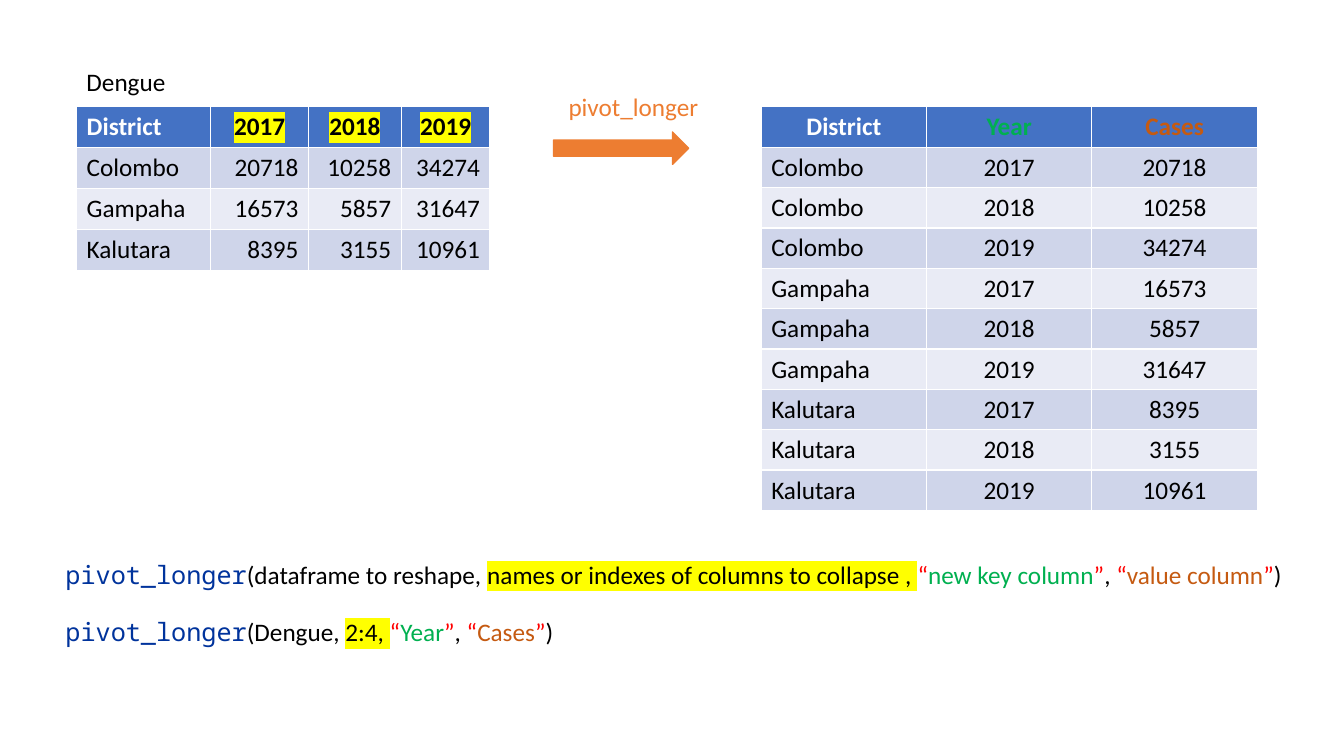
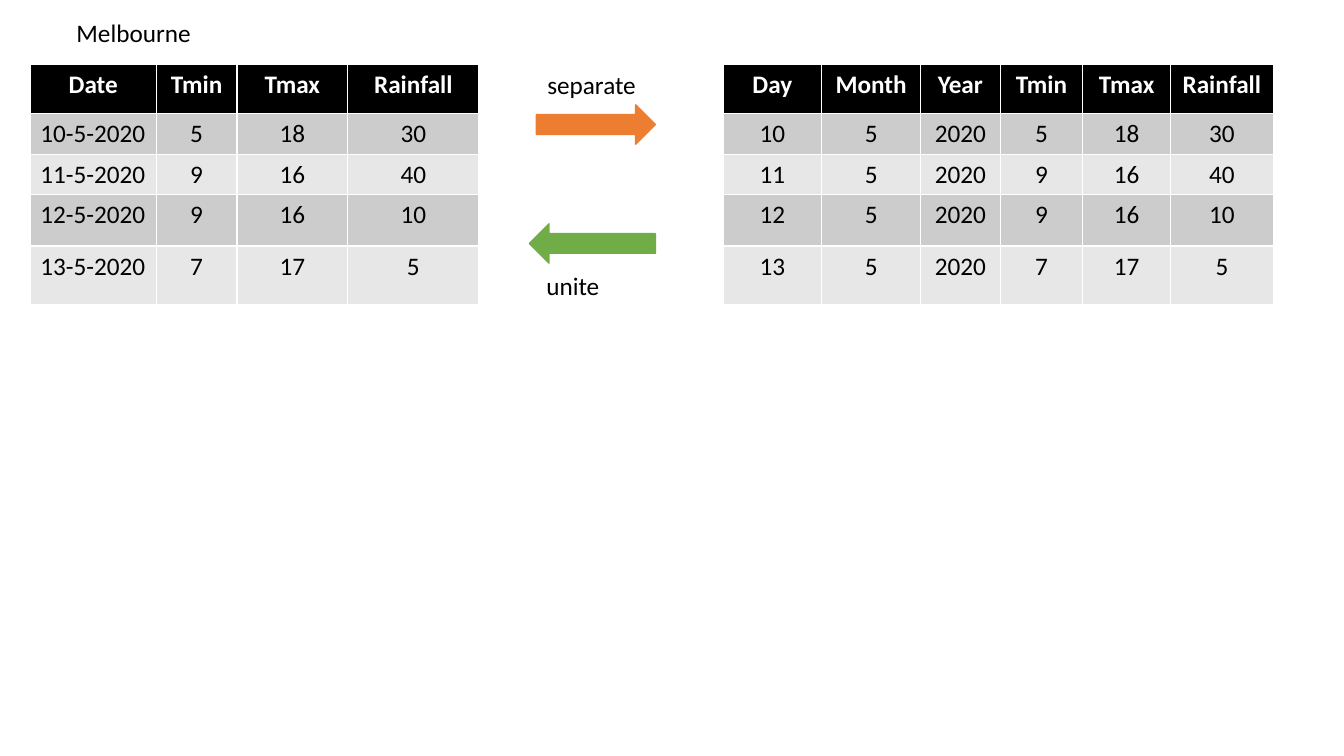
from lxml.etree import SubElement
from pptx import Presentation
from pptx.dml.color import RGBColor
from pptx.enum.shapes import MSO_SHAPE as Shape
from pptx.enum.text import PP_ALIGN as Align
from pptx.oxml.ns import qn
from pptx.util import Inches, Pt

BLACK = RGBColor(0x00, 0x00, 0x00)
WHITE = RGBColor(0xFF, 0xFF, 0xFF)
BLUE = RGBColor(0x44, 0x72, 0xC4)
BLUE_BANDS = (RGBColor(0xCF, 0xD5, 0xEA), RGBColor(0xE9, 0xEB, 0xF5))
GREY_BANDS = (RGBColor(0xCC, 0xCC, 0xCC), RGBColor(0xE7, 0xE7, 0xE7))
ORANGE = RGBColor(0xED, 0x7D, 0x31)
LEAF = RGBColor(0x70, 0xAD, 0x47)
KEY_GREEN = RGBColor(0x00, 0xB0, 0x50)
VALUE_BROWN = RGBColor(0xC5, 0x5A, 0x11)
QUOTE_RED = RGBColor(0xFF, 0x00, 0x00)
CODE_BLUE = RGBColor(0x00, 0x33, 0x9C)
MARKER = "FFFF00"
BODY_FONT, CODE_FONT = "Calibri", "Noto Sans Mono"
TEXT_SIZE = Pt(18)
LINE_HEIGHT = 0.4
ALIGN = {"l": Align.LEFT, "c": Align.CENTER, "r": Align.RIGHT}

YEARS = ["2017", "2018", "2019"]
DENGUE = [
    ["Colombo", "20718", "10258", "34274"],
    ["Gampaha", "16573", "5857", "31647"],
    ["Kalutara", "8395", "3155", "10961"],
]
WEATHER = [
    ["10-5-2020", "5", "18", "30"],
    ["11-5-2020", "9", "16", "40"],
    ["12-5-2020", "9", "16", "10"],
    ["13-5-2020", "7", "17", "5"],
]
WEATHER_HEIGHTS = [0.49, 0.4, 0.4, 0.51, 0.58]
CALLS = [
    (5.5, "dataframe to reshape, ", "names or indexes of columns to collapse , ",
     "new key column", "value column"),
    (6.07, "Dengue, ", "2:4, ", "Year", "Cases"),
]

long_dengue = [[district, year, cases] for district, *counts in DENGUE
               for year, cases in zip(YEARS, counts)]
split_weather = [date.split("-") + readings for date, *readings in WEATHER]


def highlight(run):
    marker = SubElement(run.font.fill._xPr, qn("a:highlight"))
    SubElement(marker, qn("a:srgbClr")).set("val", MARKER)


def add_run(paragraph, text, color, font=BODY_FONT, bold=False, marked=False):
    run = paragraph.add_run()
    run.text = text
    run.font.size, run.font.bold = TEXT_SIZE, bold
    run.font.color.rgb = color
    if marked:
        highlight(run)
    run.font.name = font


def add_line(slide, left, top, width):
    box = slide.shapes.add_textbox(
        Inches(left), Inches(top), Inches(width), Inches(LINE_HEIGHT))
    box.text_frame.word_wrap = True
    return box.text_frame.paragraphs[0]


def add_label(slide, text, left, top, width, color=BLACK):
    paragraph = add_line(slide, left, top, width)
    paragraph.text = text
    paragraph.font.name, paragraph.font.size = BODY_FONT, TEXT_SIZE
    paragraph.font.color.rgb = color


def add_arrow(slide, kind, left, top, width, height, color):
    arrow = slide.shapes.add_shape(
        kind, Inches(left), Inches(top), Inches(width), Inches(height))
    arrow.shadow.inherit = False
    arrow.fill.solid()
    arrow.fill.fore_color.rgb = color
    arrow.line.color.rgb = color
    arrow.line.width = Pt(1)


def add_data(slide, left, top, widths, heights, header, rows, header_fill, bands,
             header_aligns, aligns, header_colors=None, marked=()):
    table = slide.shapes.add_table(
        len(heights), len(widths), Inches(left), Inches(top),
        Inches(sum(widths)), Inches(sum(heights))).table
    for column, width in zip(table.columns, widths):
        column.width = Inches(width)
    for row, height in zip(table.rows, heights):
        row.height = Inches(height)
    header_colors = header_colors or [WHITE] * len(header)
    for r, texts in enumerate([header] + rows):
        for c, text in enumerate(texts):
            is_header = r == 0
            cell = table.cell(r, c)
            cell.fill.solid()
            cell.fill.fore_color.rgb = header_fill if is_header else bands[(r - 1) % 2]
            paragraph = cell.text_frame.paragraphs[0]
            paragraph.alignment = ALIGN[(header_aligns if is_header else aligns)[c]]
            add_run(paragraph, text, header_colors[c] if is_header else BLACK,
                    bold=is_header, marked=is_header and text in marked)


def add_call(slide, top, data, columns, key, value):
    paragraph = add_line(slide, 0.55, top, 12.75)
    add_run(paragraph, "pivot_longer", CODE_BLUE, font=CODE_FONT)
    add_run(paragraph, "(" + data, BLACK)
    add_run(paragraph, columns, BLACK, marked=True)
    for name, color, ending in ((key, KEY_GREEN, ", "), (value, VALUE_BROWN, ")")):
        add_run(paragraph, "“", QUOTE_RED)
        add_run(paragraph, name, color)
        add_run(paragraph, "”", QUOTE_RED)
        add_run(paragraph, ending, BLACK)


deck = Presentation()
deck.slide_width, deck.slide_height = Inches(13.33), Inches(7.5)
blank = deck.slide_layouts[6]

pivot = deck.slides.add_slide(blank)
add_data(pivot, 0.76, 1.06, [1.33, 0.97, 0.92, 0.88], [LINE_HEIGHT] * 4,
         ["District"] + YEARS, DENGUE, BLUE, BLUE_BANDS, "lccc", "lrrr",
         [WHITE] + [BLACK] * 3, YEARS)
add_label(pivot, "Dengue", 0.76, 0.61, 1)
add_data(pivot, 7.55, 1.06, [1.64] * 3, [LINE_HEIGHT] * 10,
         ["District", "Year", "Cases"], long_dengue, BLUE, BLUE_BANDS, "ccc", "lcc",
         [WHITE, KEY_GREEN, VALUE_BROWN])
add_arrow(pivot, Shape.RIGHT_ARROW, 5.49, 1.31, 1.34, 0.32, ORANGE)
add_label(pivot, "pivot_longer", 5.54, 0.86, 1.61, ORANGE)
for call in CALLS:
    add_call(pivot, *call)

separate = deck.slides.add_slide(blank)
add_data(separate, 0.3, 0.64, [1.25, 0.8, 1.1, 1.3], WEATHER_HEIGHTS,
         ["Date", "Tmin", "Tmax", "Rainfall"], WEATHER, BLACK, GREY_BANDS,
         "cccc", "lccc")
add_label(separate, "Melbourne", 0.66, 0.12, 1.59)
add_data(separate, 7.17, 0.64, [0.98, 0.98, 0.79, 0.82, 0.87, 1.02], WEATHER_HEIGHTS,
         ["Day", "Month", "Year", "Tmin", "Tmax", "Rainfall"], split_weather,
         BLACK, GREY_BANDS, "cccccc", "cccccc")
add_arrow(separate, Shape.RIGHT_ARROW, 5.32, 1.04, 1.18, 0.39, ORANGE)
add_arrow(separate, Shape.LEFT_ARROW, 5.25, 2.22, 1.25, 0.39, LEAF)
add_label(separate, "separate", 5.33, 0.64, 1.25)
add_label(separate, "unite", 5.32, 2.63, 1.25)

deck.save("out.pptx")
